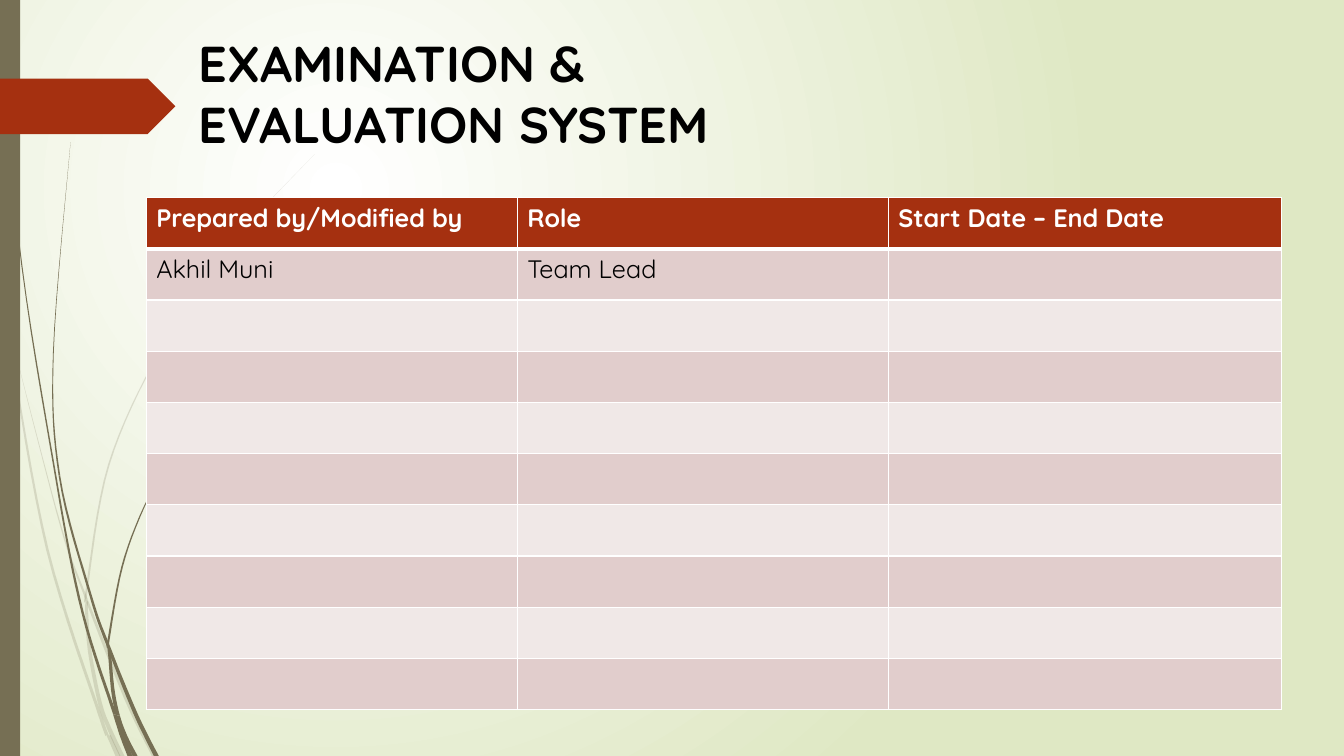
from lxml.etree import SubElement as Sub
from pptx import Presentation
from pptx.dml.color import RGBColor
from pptx.enum.shapes import MSO_SHAPE as Shape
from pptx.enum.text import MSO_ANCHOR as Anchor, MSO_AUTO_SIZE as Auto, PP_ALIGN as Align
from pptx.oxml.ns import qn
from pptx.util import Inches, Pt

WIDE, HIGH = 13.33, 7.5
FONT = "Quicksand"
OLIVE, RUST, WHITE, BLACK = "766F54", "A53010", "FFFFFF", "000000"
BANDS = "E1CDCC", "F0E8E7"
TITLE = "EXAMINATION & EVALUATION SYSTEM"
HEAD = "Prepared by/Modified by", "Role", "Start Date – End Date"
ROWS = [HEAD, ("Akhil Muni", "Team Lead", "")] + [("", "", "")] * 8
COLS = 3.68, 3.68, 3.9
STEM = 0.05

PALE = [
    [(0, 2.9), (.05, 3.18), (.11, 3.5), (.47, 5.45), (1, 7.12), (1.08, 7.3), (1.17, HIGH)],
    [(.14, 3.45), (.6, 5.21), (.86, 5.95), (1.25, 6.93), (1.53, HIGH)],
    [(3.12, 1.53), (2.28, 2.44), (1.59, 3.48), (1.08, 4.61), (.86, 5.85), (.86, 5.97),
     (.86, 6.09), (.89, 6.46), (.99, 6.97), (1.08, 7.22), (1.21, HIGH)],
]
DARK = [
    [(.04, 0), (.18, 2.33), (.56, 4.77), (.82, 6.08), (1.14, 7.09), (1.21, 7.3), (1.29, HIGH)],
    [(.7, 1.41), (.53, 3.49), (.59, 4.72), (.9, 5.91), (1.09, 6.45), (1.34, 7.07), (1.55, HIGH)],
    [(2.6, 3.44), (2.04, 4.06), (1.57, 4.75), (1.24, 5.52), (1.08, 6.33), (1.08, 6.43),
     (1.09, 6.52), (1.12, 6.85), (1.17, 7.1), (1.24, 7.3), (1.34, HIGH)],
]


def tint(fill, code, alpha=100):
    fill.solid()
    fill.fore_color.rgb = RGBColor.from_string(code)
    if alpha < 100:
        rgb = fill._xPr.find(".//" + qn("a:srgbClr"))
        Sub(rgb, qn("a:alpha"), val=str(alpha * 1000))


def paint(shape, code, alpha=100):
    tint(shape.fill, code, alpha)
    shape.line.fill.background()
    shape.shadow.inherit = False


def curve(knots, steps=8):
    ends = [knots[0], *knots, knots[-1]]
    pts = []
    for a, b, c, d in zip(ends, ends[1:], ends[2:], ends[3:]):
        for i in range(steps):
            t = i / steps
            pts.append(tuple(
                q + t / 2 * (r - p + t * (2 * p - 5 * q + 4 * r - s + t * (3 * (q - r) + s - p)))
                for p, q, r, s in zip(a, b, c, d)))
    return pts + [knots[-1]]


def grow(shapes, knots, alpha, steps=8):
    pts = curve(knots, steps)
    last = len(pts) - 1
    half = [STEM / 2 * i / last for i in range(last + 1)]
    left = [(x - h, y) for (x, y), h in zip(pts, half)]
    right = [(x + h, y) for (x, y), h in zip(pts, half)]
    for i in range(0, last, 2 * steps):
        cut = slice(i, i + 2 * steps + 1)
        rim = [(x * 1000, y * 1000) for x, y in left[cut] + right[cut][::-1]]
        path = shapes.build_freeform(*rim[0], scale=Inches(1) / 1000)
        path.add_line_segments(rim[1:], close=True)
        paint(path.convert_to_shape(), OLIVE, alpha)


def write(frame, text, size=18, color=BLACK, bold=False):
    para = frame.paragraphs[0]
    para.alignment = Align.LEFT
    run = para.add_run()
    run.text = text
    font = run.font
    font.name, font.size, font.bold = FONT, Pt(size), bold
    font.color.rgb = RGBColor.from_string(color)


def edge(cell, side, width):
    line = Sub(cell._tc.get_or_add_tcPr(), qn("a:" + side), w=str(Pt(width)))
    Sub(Sub(line, qn("a:solidFill")), qn("a:srgbClr"), val=WHITE)


def main():
    deck = Presentation()
    deck.slide_width, deck.slide_height = Inches(WIDE), Inches(HIGH)
    slide = deck.slides.add_slide(deck.slide_layouts[5])
    shapes = slide.shapes

    back = slide.background.fill
    back.gradient()
    for stop, code, place in zip(back.gradient_stops, (WHITE, "DFE8C4"), (0, 1)):
        stop.color.rgb = RGBColor.from_string(code)
        stop.position = place
    grad = slide.element.find(".//" + qn("a:gradFill"))
    grad.remove(grad.find(qn("a:lin")))
    glow = Sub(grad, qn("a:path"), path="circle")
    Sub(glow, qn("a:fillToRect"), l="50000", t="50000", r="100000", b="100000")

    for stems, alpha in ((PALE, 20), (DARK, 100)):
        group = shapes.add_group_shape()
        for stem in stems:
            grow(group.shapes, stem, alpha)
    paint(shapes.add_shape(Shape.RECTANGLE, 0, 0, Inches(.2), Inches(HIGH)), OLIVE)
    flag = map(Inches, (0, .78, 1.74, .55))
    paint(shapes.add_shape(Shape.PENTAGON, *flag), RUST)

    title = shapes.title
    title.left, title.top, title.width, title.height = map(Inches, (1.87, .27, 6.92, 1.31))
    frame = title.text_frame
    frame.word_wrap, frame.auto_size = True, Auto.SHAPE_TO_FIT_TEXT
    frame.vertical_anchor = Anchor.TOP
    write(frame, TITLE, size=36, bold=True)
    tree = shapes._spTree
    tree.remove(title._element)
    tree.append(title._element)

    box = map(Inches, (1.45, 1.96, sum(COLS), 5.08))
    table = shapes.add_table(len(ROWS), len(COLS), *box).table
    for col, width in zip(table.columns, COLS):
        col.width = Inches(width)
    for r, row in enumerate(ROWS):
        for c, text in enumerate(row):
            cell = table.cell(r, c)
            for side in ("lnL", "lnR", "lnT", "lnB"):
                thick = (r, side) in ((0, "lnB"), (1, "lnT"))
                edge(cell, side, 3 if thick else 1)
            tint(cell.fill, BANDS[(r - 1) % 2] if r else RUST)
            if text:
                write(cell.text_frame, text, color=BLACK if r else WHITE, bold=r == 0)

    deck.save("out.pptx")


if __name__ == "__main__":
    main()
